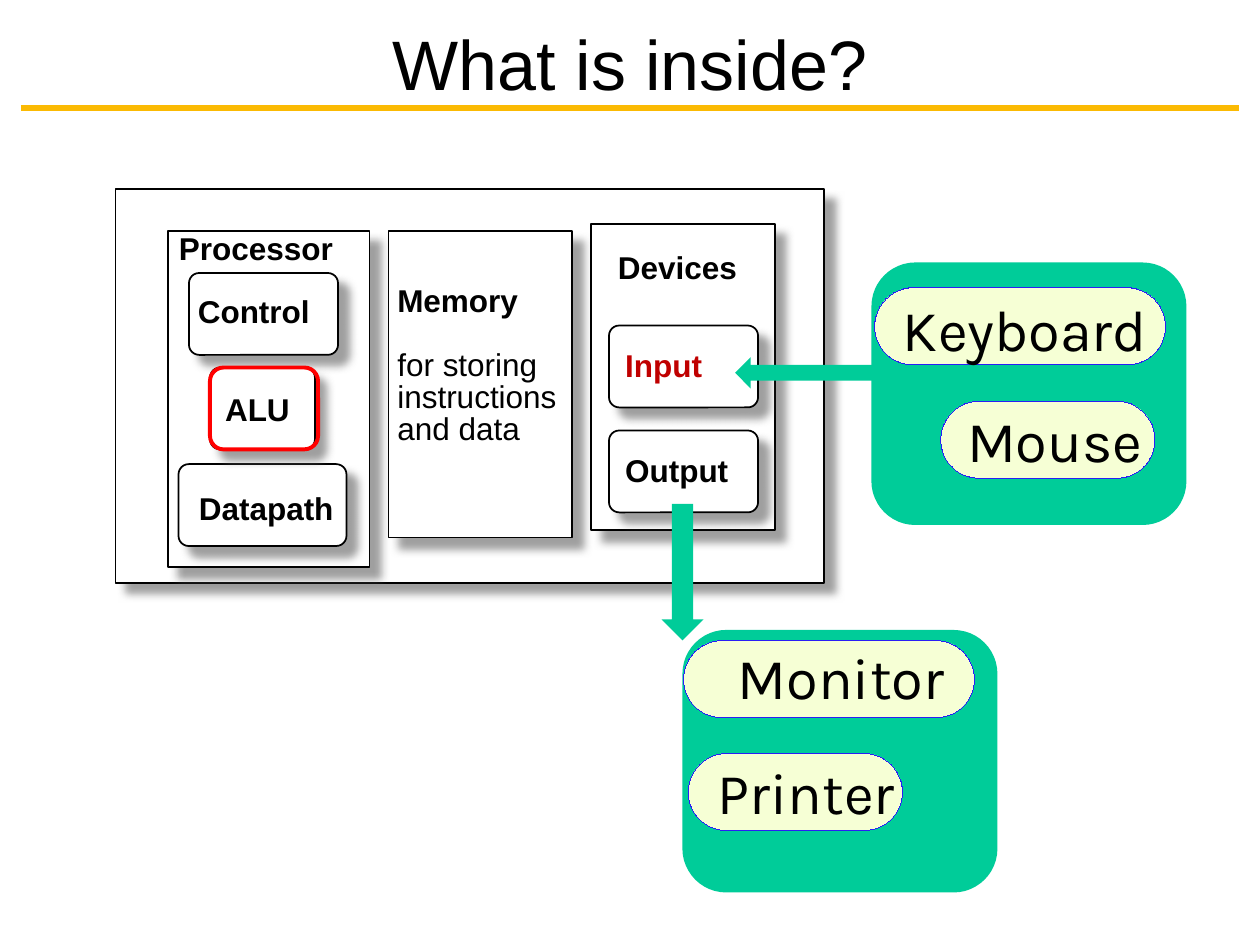
from lxml import etree
from pptx import Presentation
from pptx.dml.color import RGBColor
from pptx.enum.shapes import MSO_CONNECTOR, MSO_SHAPE
from pptx.enum.text import MSO_ANCHOR, PP_ALIGN
from pptx.oxml.ns import qn
from pptx.util import Inches, Pt

RECT = MSO_SHAPE.RECTANGLE
ROUND = MSO_SHAPE.ROUNDED_RECTANGLE
LEFT = MSO_SHAPE.LEFT_ARROW
DOWN = MSO_SHAPE.DOWN_ARROW
STRAIGHT = MSO_CONNECTOR.STRAIGHT
MIDDLE = MSO_ANCHOR.MIDDLE
CENTER = PP_ALIGN.CENTER

CELL = Inches(1) / 12
COLS, ROWS = 120, 90
PART_H = 7.8
PILL_H = 7.35
HAIR = 0.01
COLORS = {
    "ink": "000000",
    "paper": "FFFFFF",
    "gold": "FBBA03",
    "green": "00CC99",
    "cream": "F6FFD5",
    "blue": "291EF5",
    "red": "FF0000",
    "wine": "C00000",
    "shade": "808080",
}


def color(name):
    return RGBColor.from_string(COLORS[name])


def grid(*cells):
    return [round(cell * CELL) for cell in cells]


def inner(box, x, y, w, h):
    return box[0] + x, box[1] + y, w, h


def shape(slide, kind, box, fill=None, line=None, width=1, round_by=None):
    item = slide.shapes.add_shape(kind, *grid(*box))
    item.shadow.inherit = False
    if fill:
        item.fill.solid()
        item.fill.fore_color.rgb = color(fill)
    else:
        item.fill.background()
    if line:
        item.line.color.rgb = color(line)
        item.line.width = Pt(width)
    else:
        item.line.fill.background()
    if round_by is not None:
        item.adjustments[0] = round_by
    return item


def shade(item):
    effects = item._element.spPr.find(qn("a:effectLst"))
    outer = etree.SubElement(
        effects, qn("a:outerShdw"), blurRad=str(Pt(5)), dist=str(Pt(8.5)),
        dir=str(45 * 60000), algn="ctr", rotWithShape="0")
    tone = etree.SubElement(outer, qn("a:srgbClr"), val=COLORS["shade"])
    etree.SubElement(tone, qn("a:alpha"), val="75000")


def card(slide, box, kind=RECT):
    corner = 0.125 if kind == ROUND else None
    shade(shape(slide, kind, box, "paper", "ink", round_by=corner))


def label(slide, box, lines, size=18, font="Arial", bold=True, tone="ink",
          pad=(0.07, 0.03), tight=0.85):
    frame = slide.shapes.add_textbox(*grid(*box)).text_frame
    frame.word_wrap = True
    frame.margin_left = frame.margin_right = Inches(pad[0])
    frame.margin_top = frame.margin_bottom = Inches(pad[1])
    frame.text = "\n".join(lines)
    for par in frame.paragraphs:
        par.line_spacing = tight
        par.font.size = Pt(size)
        par.font.name = font
        par.font.bold = bold
        par.font.color.rgb = color(tone)
    return frame


def part(slide, box, text, x, y, w, tone="ink"):
    card(slide, box, ROUND)
    label(slide, inner(box, x, y, w, 3.7), [text], tone=tone)


def header(slide, box):
    frame = label(slide, box, ["What is inside?"], size=40, bold=False,
                  tight=1)
    frame.vertical_anchor = MIDDLE
    frame.paragraphs[0].alignment = CENTER
    left, top, wide, high = box
    base = top + high
    rule = slide.shapes.add_connector(
        STRAIGHT, *grid(left, base, left + wide, base))
    rule.line.color.rgb = color("gold")
    rule.line.width = Pt(3.75)
    etree.SubElement(rule._element.spPr, qn("a:effectLst"))


def chip(slide, box):
    card(slide, box)
    label(slide, inner(box, 0.2, 0, 18.5, 3.7), ["Processor"])
    part(slide, inner(box, 2, 4, 14.2, PART_H), "Control", 0, 2, 14)
    part(slide, inner(box, 1, 22.2, 16, PART_H), "Datapath", 1.1, 2.6, 17)
    part(slide, inner(box, 4, 13, 10, PART_H), "ALU", 0.6, 2.3, 9.4)
    shape(slide, ROUND, inner(box, 4, 13, 10.3, PART_H), line="red",
          width=2.25)


def store(slide, box):
    card(slide, box)
    frame = label(slide, inner(box, 0, 5, 19, 16.1),
                  ["Memory", "for storing", "instructions and data"])
    head, first, last = frame.paragraphs
    first.font.bold = last.font.bold = False
    first.space_before = Pt(18)


def ports(slide, box):
    card(slide, box)
    label(slide, inner(box, 1.7, 2.5, 15, 3.7), ["Devices"])
    for text, y, tone in (("Input", 9.7, "wine"), ("Output", 19.7, "ink")):
        part(slide, inner(box, 1.7, y, 14.2, PART_H), text, 0.7, 2.1, 13.5,
             tone)


def board(slide, box):
    card(slide, box)
    chip(slide, inner(box, 5, 4, 19.2, 32))
    store(slide, inner(box, 26, 4, 17.5, 29.2))
    ports(slide, inner(box, 45.3, 3.3, 17.5, 29.2))


def panel(slide, box, pills):
    shape(slide, ROUND, box, "green", round_by=0.167)
    for text, x, y, w, dx, dy, span in pills:
        pill = inner(box, x, y, w, PILL_H)
        shape(slide, ROUND, pill, "cream", "blue", HAIR, 0.5)
        label(slide, inner(pill, dx, dy, span, PILL_H), [text], 33, "Karla",
              False, pad=(0, 0), tight=1)


def main():
    deck = Presentation()
    deck.slide_width, deck.slide_height = grid(COLS, ROWS)
    slide = deck.slides.add_slide(deck.slide_layouts[6])
    header(slide, (2, 1.6, COLS - 4, 8.7))
    board(slide, (11, 18, 67.5, 37.5))
    panel(slide, (65, 60, 30, 25), (
        ("Monitor", 0.1, 1, 27.7, 5.15, 0.1, 22),
        ("Printer", 0.55, 11.75, 20.4, 2.8, 0.35, 20),
    ))
    panel(slide, (83, 25, 30, 25), (
        ("Keyboard", 0.3, 2.4, 27.7, 2.7, 0.6, 27),
        ("Mouse", 6.6, 13.2, 20.4, 2.5, 0.4, 20),
    ))
    shape(slide, LEFT, (70, 34, 15, 3), "green")
    shape(slide, DOWN, (63, 48, 4, 13), "green")
    deck.save("out.pptx")


if __name__ == "__main__":
    main()
